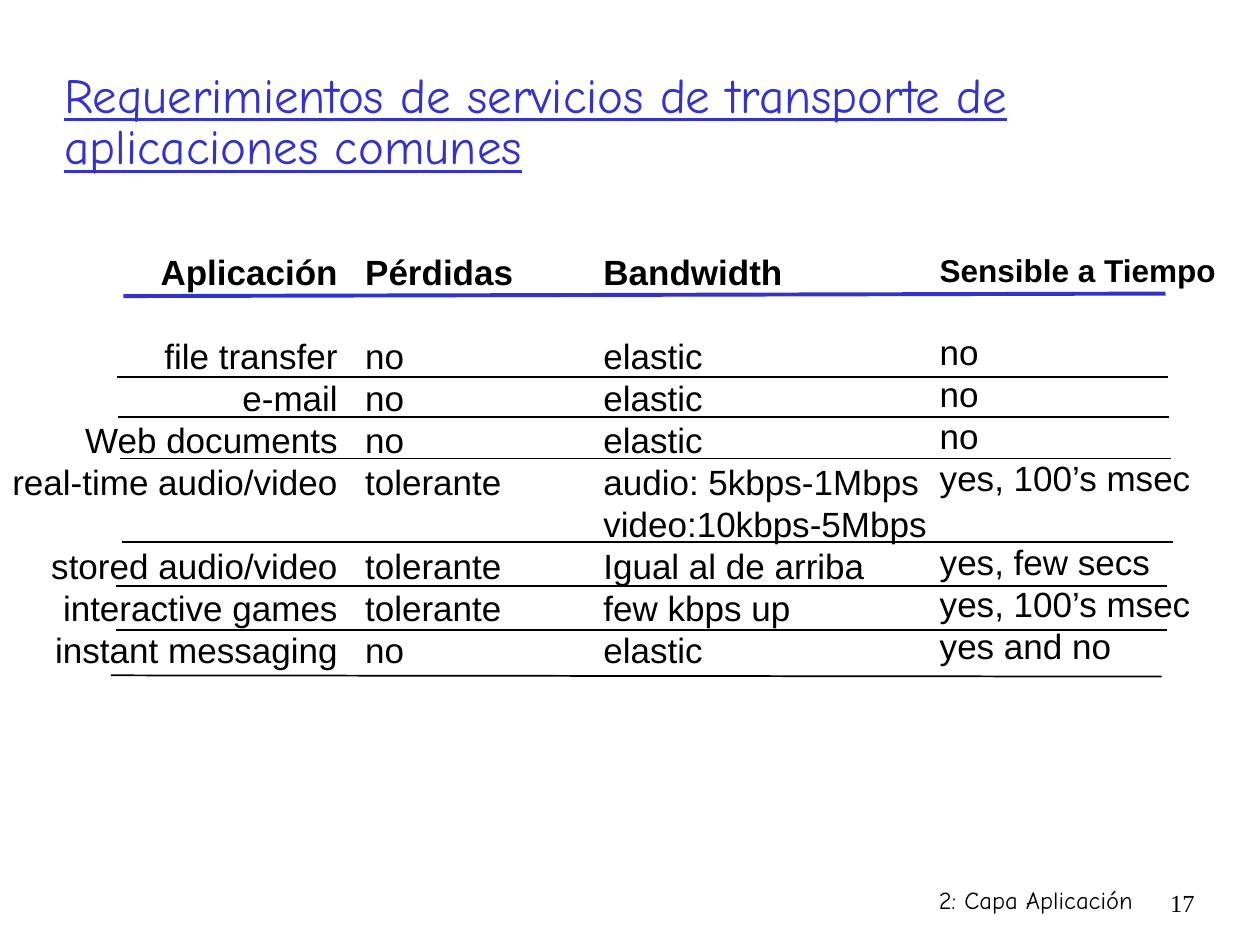
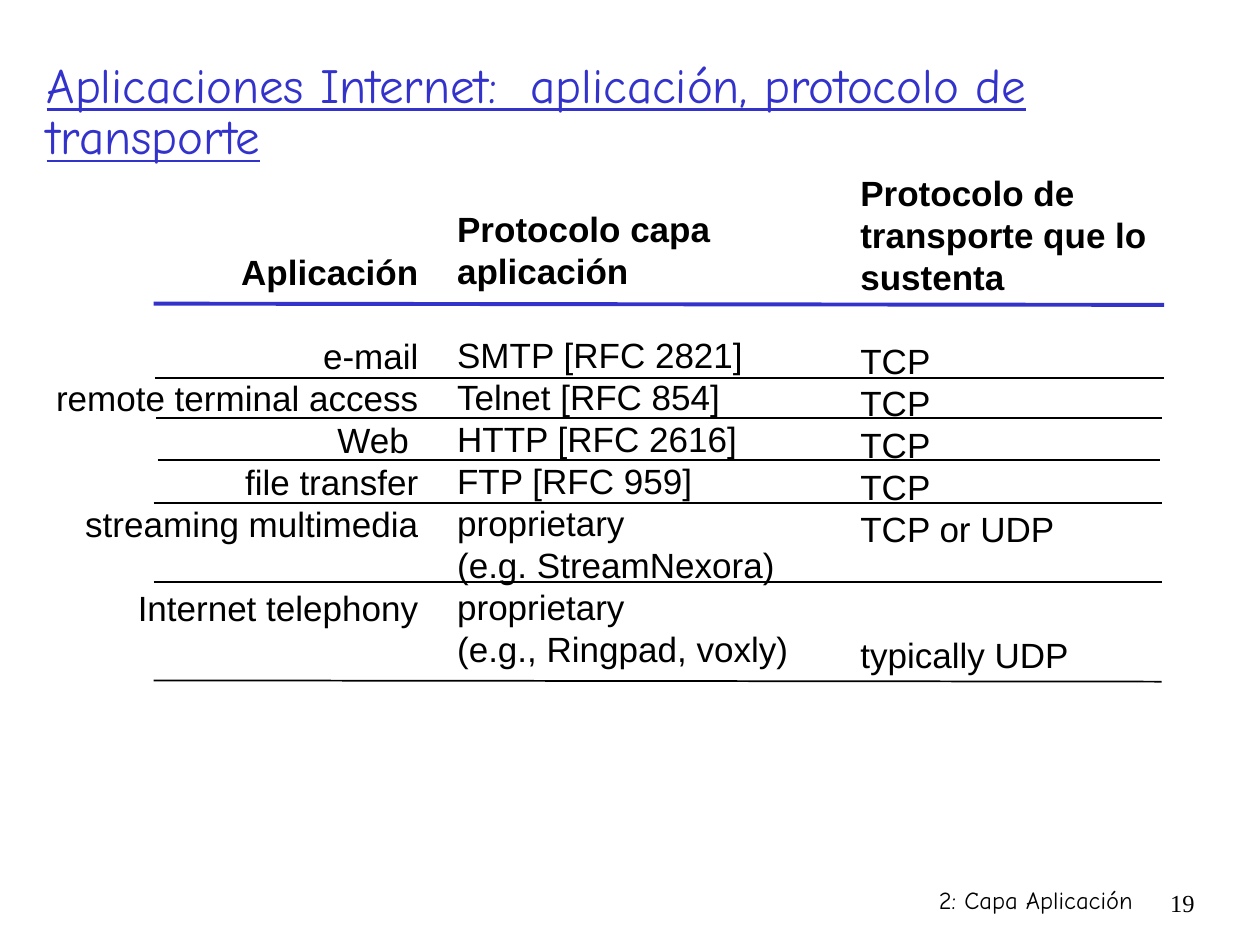
from dataclasses import dataclass

from lxml import etree
from pptx import Presentation
from pptx import util as u
from pptx.dml.color import RGBColor
from pptx.enum import shapes, text
from pptx.oxml import ns

# Shared look: a grid of 100 columns by 150 rows on a 10 x 7.5 inch slide
SLIDE_W, SLIDE_H = u.Inches(10), u.Inches(7.5)
GRID_COLS, GRID_ROWS = 100, 150
BLUE, BLACK = "3333CC", "000000"
TITLE_FONT, BODY_FONT, NUMBER_FONT = "Comic Neue", "Arial", "Times New Roman"
BODY_SIZE = 20
LEADING = 1.2
INSET_X, INSET_Y = u.Inches(0.1), u.Inches(0.05)
LEFT, RIGHT = text.PP_ALIGN.LEFT, text.PP_ALIGN.RIGHT
CHAPTER = "2: Capa Aplicación"


@dataclass
class Box:
    """A place on the grid."""
    left: float
    top: float
    width: float
    height: float


@dataclass
class Column:
    """A text column; an empty entry leaves one line of space."""
    left: float
    top: float
    width: float
    line_count: int
    entries: list[str]
    header_lines: int = 1
    header_size: int = BODY_SIZE
    align: text.PP_ALIGN = LEFT
    wrap: bool = True


@dataclass
class Rule:
    """A thin row rule, which may drop slightly to the right."""
    left: float
    top: float
    width: float
    drop: float = 0
    color: str = BLACK
    weight: float = 1


@dataclass
class Page:
    number: int
    title: str
    title_box: Box
    columns: list[Column]
    rules: list[Rule]


def gx(columns: float) -> int:
    return round(SLIDE_W * columns / GRID_COLS)


def gy(rows: float) -> int:
    return round(SLIDE_H * rows / GRID_ROWS)


def rgb(hex_color: str) -> RGBColor:
    return RGBColor.from_string(hex_color)


def apply(target, **values) -> None:
    for key, value in values.items():
        setattr(target, key, value)


def place(shape, box: Box) -> None:
    apply(shape, left=gx(box.left), top=gy(box.top),
          width=gx(box.width), height=gy(box.height))


def set_frame(frame, **values) -> None:
    defaults = dict(word_wrap=True, auto_size=text.MSO_AUTO_SIZE.NONE,
                    vertical_anchor=text.MSO_ANCHOR.TOP,
                    margin_left=INSET_X, margin_right=INSET_X,
                    margin_top=INSET_Y, margin_bottom=INSET_Y)
    apply(frame, **(defaults | values))


def write(paragraph, words: str, font: str, size: float, color: str = BLACK,
          bold: bool = False, underline: bool = False, **layout) -> None:
    run = paragraph.add_run()
    run.text = words
    apply(run.font, name=font, size=u.Pt(size), bold=bold, underline=underline)
    run.font.color.rgb = rgb(color)
    apply(paragraph, **layout)


def add_text_box(slide, box: Box, **frame_values):
    shape = slide.shapes.add_textbox(0, 0, 0, 0)
    place(shape, box)
    set_frame(shape.text_frame, **frame_values)
    return shape.text_frame


def draw_title(slide, title: str, box: Box) -> None:
    shape = slide.shapes.title
    place(shape, box)
    set_frame(shape.text_frame, margin_top=INSET_X,
              vertical_anchor=text.MSO_ANCHOR.MIDDLE)
    write(shape.text_frame.paragraphs[0], title, TITLE_FONT, 28, BLUE,
          underline=True, alignment=LEFT, line_spacing=0.88)


def draw_footer(slide, number: int) -> None:
    chapter = add_text_box(slide, Box(59.2, 140, 31.7, 6.2))
    write(chapter.paragraphs[0], CHAPTER, TITLE_FONT, 14,
          alignment=RIGHT, line_spacing=0.9)
    page = add_text_box(slide, Box(90.8, 140, 5, 6.8))
    write(page.paragraphs[0], str(number), NUMBER_FONT, 14, alignment=RIGHT)


def draw_column(slide, column: Column) -> None:
    line = u.Pt(BODY_SIZE * LEADING)
    height = (column.line_count * line + 2 * INSET_Y) / gy(1)
    frame = add_text_box(slide, Box(column.left, column.top, column.width, height),
                         word_wrap=column.wrap)
    paragraph, gap = frame.paragraphs[0], 0
    for index, entry in enumerate(column.entries):
        if not entry:
            gap += line
            continue
        if index:
            paragraph = frame.add_paragraph()
        is_header = index < column.header_lines
        size = column.header_size if is_header else BODY_SIZE
        write(paragraph, entry, BODY_FONT, size, bold=is_header,
              alignment=column.align, line_spacing=u.Pt(size * LEADING),
              space_before=u.Emu(gap))
        gap = 0


def draw_rule(slide, rule: Rule) -> None:
    line = slide.shapes.add_connector(
        shapes.MSO_CONNECTOR.STRAIGHT, gx(rule.left), gy(rule.top),
        gx(rule.left + rule.width), gy(rule.top + rule.drop))
    line.line.color.rgb = rgb(rule.color)
    line.line.width = u.Pt(rule.weight)
    etree.SubElement(line._element.spPr, ns.qn("a:effectLst"))


def draw_page(deck, page: Page) -> None:
    slide = deck.slides.add_slide(deck.slide_layouts.get_by_name("Title Only"))
    draw_footer(slide, page.number)
    draw_title(slide, page.title, page.title_box)
    for column in page.columns:
        draw_column(slide, column)
    for rule in page.rules:
        draw_rule(slide, rule)


# Service requirements of common applications
REQUIREMENTS = Page(
    17, "Requerimientos de servicios de transporte de aplicaciones comunes",
    Box(4.1, 6.6, 89.7, 25),
    columns=[
        Column(0, 38.8, 27.8, 10,
               ["Aplicación", "", "file transfer", "e-mail", "Web documents",
                "real-time audio/video", "", "stored audio/video",
                "interactive games", "instant messaging"],
               align=RIGHT, wrap=False),
        Column(28, 38.8, 13.7, 10,
               ["Pérdidas", "", "no", "no", "no", "tolerante", "",
                "tolerante", "tolerante", "no"], wrap=False),
        Column(46.9, 38.8, 28.2, 10,
               ["Bandwidth", "", "elastic", "elastic", "elastic",
                "audio: 5kbps-1Mbps", "video:10kbps-5Mbps",
                "Igual al de arriba", "few kbps up", "elastic"]),
        Column(73.6, 38.8, 24.8, 10,
               ["Sensible a Tiempo", "", "no", "no", "no", "yes, 100’s msec", "",
                "yes, few secs", "yes, 100’s msec", "yes and no"],
               header_size=18),
    ],
    rules=[Rule(9.8, 47, 82.7, -0.4, BLUE, 2.25)] + [
        Rule(left, top, 83.4, drop) for left, top, drop in (
            (9.3, 59.8, 0), (9.4, 66.2, 0), (9.5, 72.8, 0), (9.7, 86, 0),
            (9.2, 93, 0), (9.2, 100, 0), (8.8, 107.2, 0.2))],
)

# Application protocols and the transport below them
PROTOCOLS = Page(
    19, "Aplicaciones Internet:  aplicación, protocolo de transporte",
    Box(2.7, 5, 95.7, 25),
    columns=[
        Column(3.4, 38.8, 30.8, 10,
               ["Aplicación", "", "e-mail", "remote terminal access", "Web ",
                "file transfer", "streaming multimedia", "",
                "Internet telephony"], align=RIGHT, wrap=False),
        Column(35.3, 32, 28.3, 11,
               ["Protocolo capa", "aplicación", "", "SMTP [RFC 2821]",
                "Telnet [RFC 854]", "HTTP [RFC 2616]", "FTP [RFC 959]",
                "proprietary", "(e.g. StreamNexora)",
                "proprietary", "(e.g., Ringpad, voxly)"],
               header_lines=2, wrap=False),
        Column(67.3, 26.2, 28.7, 12,
               ["Protocolo de transporte que lo sustenta", "", "TCP", "TCP",
                "TCP", "TCP", "TCP or UDP", "", "", "typically UDP"]),
    ],
    rules=[Rule(12.2, 48.2, 80.2, 0.2, BLUE, 2.25)] + [
        Rule(left, top, width, drop) for left, top, width, drop in (
            (12.3, 60, 80.1, 0), (12.4, 66.4, 79.8, 0), (12.5, 73, 79.6, 0),
            (12.2, 79.8, 80, 0), (12.2, 92.4, 80, 0), (12.2, 108, 80, 0.2))],
)


def main() -> None:
    deck = Presentation()
    apply(deck, slide_width=SLIDE_W, slide_height=SLIDE_H)
    for page in (REQUIREMENTS, PROTOCOLS):
        draw_page(deck, page)
    deck.save("out.pptx")


if __name__ == "__main__":
    main()
